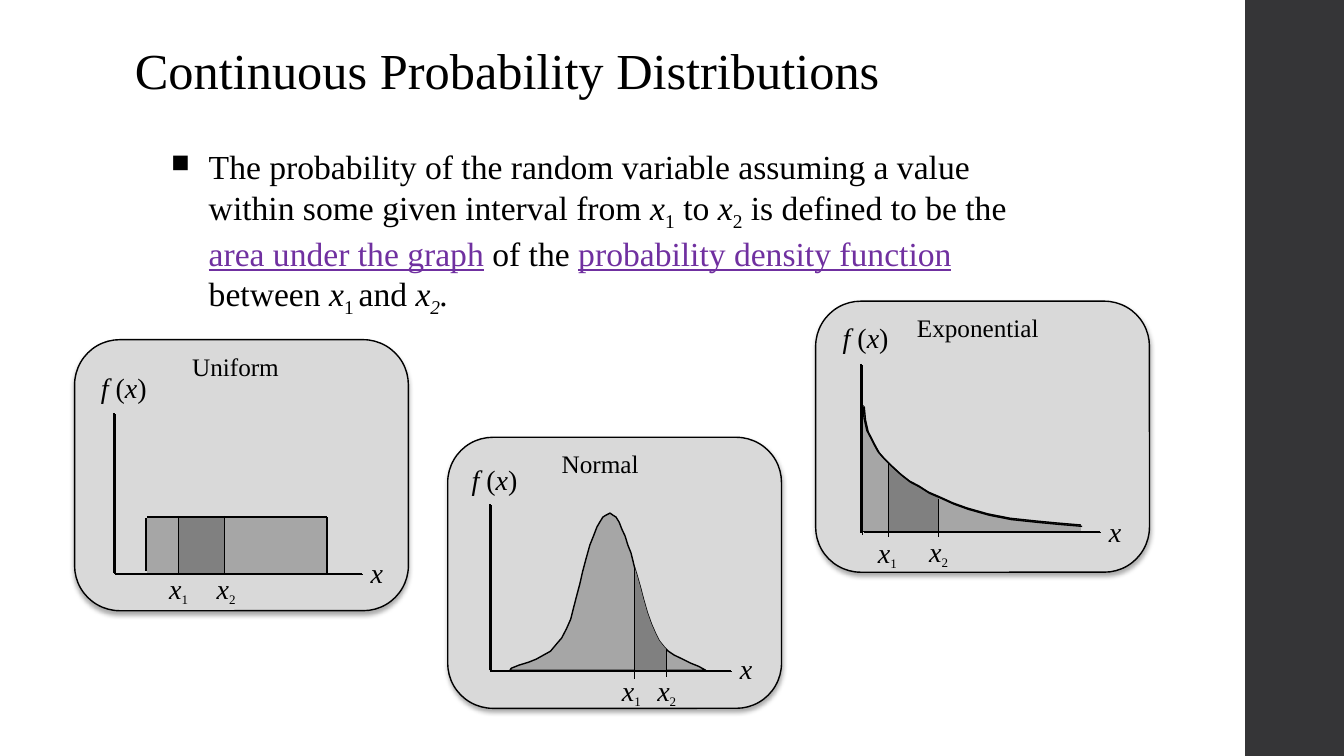
from dataclasses import dataclass
from lxml.etree import SubElement
from pptx import Presentation
from pptx.dml.color import RGBColor
from pptx.enum.shapes import MSO_CONNECTOR as Link, MSO_SHAPE as Kind
from pptx.enum.text import MSO_ANCHOR as Anchor, MSO_AUTO_SIZE as Fit, PP_ALIGN as Align
from pptx.oxml.ns import qn
from pptx.util import Cm, Pt


@dataclass(frozen=True)
class Theme:
    font: str = "Times New Roman"
    ink: str = "000000"
    side: str = "353537"
    card: str = "D9D9D9"
    area: str = "A6A6A6"
    dark: str = "808080"
    link: str = "7030A0"
    title: int = 36
    body: int = 24
    axis: int = 20
    name: int = 18
    sub: int = 16
    thin: float = 1
    bold: float = 1.5


theme = Theme()

# Run styles: i italic, s subscript, u underlined key term
TITLE = [("Continuous Probability Distributions", "")]
BODY = [
    ("The probability of the random variable assuming a value within some given interval from ", ""),
    ("x", "i"), ("1", "s"), (" to ", ""), ("x", "i"), ("2", "s"),
    (" is defined to be the ", ""), ("area under the graph", "u"), (" of the ", ""),
    ("probability density function", "u"), (" between ", ""),
    ("x", "i"), ("1 ", "s"), ("and ", ""), ("x", "i"), ("2", "is"), (".", "i"),
]
FX = [("f ", "i"), ("(", ""), ("x", "i"), (")", "")]

# All places below are in inches; size() turns them into Cm.
BELL = [
    (5.06, 6.65), (5.07, 6.63), (5.15, 6.6), (5.24, 6.57), (5.32, 6.54), (5.39, 6.5),
    (5.46, 6.46), (5.52, 6.39), (5.57, 6.33), (5.62, 6.24), (5.66, 6.14), (5.69, 6.03),
    (5.72, 5.91), (5.75, 5.79), (5.78, 5.67), (5.81, 5.55), (5.85, 5.41), (5.88, 5.33),
    (5.92, 5.23), (5.95, 5.18), (5.98, 5.13), (6.01, 5.11), (6.05, 5.09), (6.08, 5.11),
    (6.11, 5.13), (6.14, 5.18), (6.17, 5.25), (6.2, 5.32), (6.23, 5.41), (6.26, 5.49),
    (6.29, 5.62), (6.32, 5.71), (6.35, 5.82), (6.38, 5.94), (6.42, 6.08), (6.46, 6.19),
    (6.5, 6.28), (6.54, 6.36), (6.59, 6.42), (6.63, 6.46), (6.69, 6.5), (6.77, 6.54),
    (6.85, 6.58), (6.93, 6.61), (7, 6.65),
]
DECAY = [
    (8.56, 4.02), (8.57, 4.15), (8.6, 4.27), (8.63, 4.33), (8.67, 4.41), (8.71, 4.48),
    (8.76, 4.54), (8.83, 4.61), (8.93, 4.7), (9.02, 4.77), (9.11, 4.82), (9.21, 4.88),
    (9.32, 4.93), (9.45, 4.99), (9.59, 5.04), (9.8, 5.1), (10.02, 5.14), (10.28, 5.17),
    (10.49, 5.19), (10.72, 5.21),
]
FLAT = [(1.46, 5.14), (3.24, 5.14)]

# base: axis height; cuts: x1 and x2; axes and ticks: x, y, x, y
PLOTS = [
    dict(name="Uniform", card=(0.74, 3.37), head=(1.79, 3.44, 1.09), fx=(0.9, 3.63),
         x=(3.58, 5.46), marks=((1.58, 5.62), (2.05, 5.62)), curve=FLAT, base=5.69,
         cuts=(1.77, 2.23), axes=[(1.13, 4.1, 1.13, 5.68), (1.13, 5.69, 3.59, 5.69)],
         ticks=[(1.77, 5.12, 1.77, 5.7), (2.23, 5.12, 2.23, 5.7)],
         edges=[(1.45, 5.14, 1.45, 5.66), (1.46, 5.13, 3.24, 5.13), (3.24, 5.13, 3.24, 5.69)]),
    dict(name="Normal", card=(4.44, 4.34), head=(5.47, 4.4, 0.97), fx=(4.58, 4.54),
         x=(7.24, 6.41), marks=((6.07, 6.63), (6.42, 6.63)), curve=BELL, base=6.65,
         cuts=(6.29, 6.61), axes=[(4.86, 6.65, 4.86, 5), (4.86, 6.65, 7.25, 6.65)],
         ticks=[(6.29, 5.62, 6.29, 6.74), (6.61, 6.44, 6.61, 6.72)], outline=True),
    dict(name="Exponential", card=(8.09, 2.99), head=(8.99, 3.05, 1.42), fx=(8.26, 3.13),
         x=(10.9, 5.05), marks=((8.61, 5.26), (9.12, 5.25)), curve=DECAY, base=5.27,
         cuts=(8.81, 9.31), axes=[(8.54, 3.61, 8.54, 5.29), (8.56, 5.27, 10.91, 5.27)],
         ticks=[(8.81, 4.6, 8.81, 5.33), (9.31, 4.95, 9.31, 5.33)], stroke=True),
]


def size(*vals):
    return [Cm(round(v * 2.54, 2)) for v in vals]


def paint(fill, color):
    fill.solid()
    fill.fore_color.rgb = RGBColor.from_string(color)


def shade(shape, blur=0, dist=0, turn=0, alpha=0):
    """Replace the theme shadow by this one, or by none."""
    props = shape._element.spPr
    fx = props.find(qn("a:effectLst"))
    if fx is None:
        fx = SubElement(props, qn("a:effectLst"))
    if alpha:
        cast = SubElement(fx, qn("a:outerShdw"), blurRad=str(Pt(blur)), dist=str(Pt(dist)),
                          dir=str(turn * 60000), algn="ctr", rotWithShape="0")
        tone = SubElement(cast, qn("a:srgbClr"), val=theme.ink)
        SubElement(tone, qn("a:alpha"), val=str(alpha * 1000))


def ink(shape, width):
    paint(shape.line.fill, theme.ink)
    shape.line.width = Pt(width)


def rule(group, ends, width=theme.thin, cast=False):
    line = group.shapes.add_connector(Link.STRAIGHT, *size(*ends))
    ink(line, width)
    shade(line, **(dict(dist=1.4, turn=45, alpha=100) if cast else {}))


def trace(group, pts, color=None):
    """Draw a filled outline, or an open line if no colour is given."""
    pts = [size(*p) for p in pts]
    pen = group.shapes.build_freeform(*pts[0], scale=1.0)
    pen.add_line_segments(pts[1:], close=color is not None)
    shape = pen.convert_to_shape()
    if color:
        paint(shape.fill, color)
        shape.line.fill.background()
        shade(shape)
    else:
        shape.fill.background()
        ink(shape, theme.thin)
        shade(shape, dist=1.4, turn=45, alpha=100)
    return shape


def clip(curve, low, high):
    """Return the part of the curve between two x values."""
    def at(x):
        for (a, b), (c, d) in zip(curve, curve[1:]):
            if a <= x <= c:
                return x, b + (d - b) * (x - a) / (c - a)
    return [at(low)] + [p for p in curve if low < p[0] < high] + [at(high)]


def under(pts, base):
    return [(pts[0][0], base)] + pts + [(pts[-1][0], base)]


def write(host, box, runs, pts, sub=None, wrap=False, align=Align.LEFT):
    text = host.shapes.add_textbox(*size(*box))
    frame = text.text_frame
    frame.word_wrap = wrap
    frame.auto_size = Fit.NONE if wrap else Fit.SHAPE_TO_FIT_TEXT
    para = frame.paragraphs[0]
    para.alignment = align
    for words, style in runs:
        run = para.add_run()
        run.text = words
        font = run.font
        font.name = theme.font
        font.size = Pt(sub if sub and "s" in style else pts)
        font.italic = "i" in style
        font.underline = "u" in style
        paint(font.fill, theme.link if "u" in style else theme.ink)
        if "s" in style:
            font._element.set("baseline", "-25000")
    return frame


def bullet(para, indent):
    props = para._p.get_or_add_pPr()
    props.set("marL", str(indent))
    props.set("indent", str(-indent))
    SubElement(props, qn("a:buSzPct"), val="75000")
    SubElement(props, qn("a:buChar"), char="■")


def plot(slide, name, card, head, fx, x, marks, curve, base, cuts, axes, ticks,
         edges=(), outline=False, stroke=False):
    group = slide.shapes.add_group_shape()
    back = group.shapes.add_shape(Kind.ROUNDED_RECTANGLE, *size(*card, 3.31, 2.69))
    paint(back.fill, theme.card)
    ink(back, theme.thin)
    shade(back, 3.5, 2.2, 90, 32)
    area = trace(group, under(curve, base), theme.area)
    if outline:
        ink(area, theme.thin)
    trace(group, under(clip(curve, *cuts), base), theme.dark)
    if stroke:
        trace(group, curve)
    for ends in axes:
        rule(group, ends, cast=True)
    for ends in edges:
        rule(group, ends, theme.bold)
    for ends in ticks:
        rule(group, ends)
    write(group, (*head, 0.4), [(name, "")], theme.name, align=Align.CENTER)
    write(group, (*fx, 0.68, 0.43), FX, theme.axis)
    write(group, (*x, 0.32, 0.43), [("x", "i")], theme.axis)
    for num, spot in enumerate(marks, 1):
        write(group, (*spot, 0.4, 0.43), [("x", "i"), (str(num), "s")], theme.axis, theme.sub)


def main():
    deck = Presentation()
    deck.slide_width, deck.slide_height = size(13.33, 7.5)
    slide = deck.slides.add_slide(deck.slide_layouts[6])
    side = slide.shapes.add_shape(Kind.RECTANGLE, *size(12.35, 0, 0.98, 7.5))
    paint(side.fill, theme.side)
    side.line.fill.background()
    shade(side)
    frame = write(slide, (1.24, 0.36, 8.5, 0.67), TITLE, theme.title, wrap=True)
    frame.vertical_anchor = Anchor.MIDDLE
    frame = write(slide, (1.6, 1.4, 8.5, 1.91), BODY, theme.body, wrap=True)
    bullet(frame.paragraphs[0], Cm(0.95))
    for item in PLOTS:
        plot(slide, **item)
    deck.save("out.pptx")


if __name__ == "__main__":
    main()
